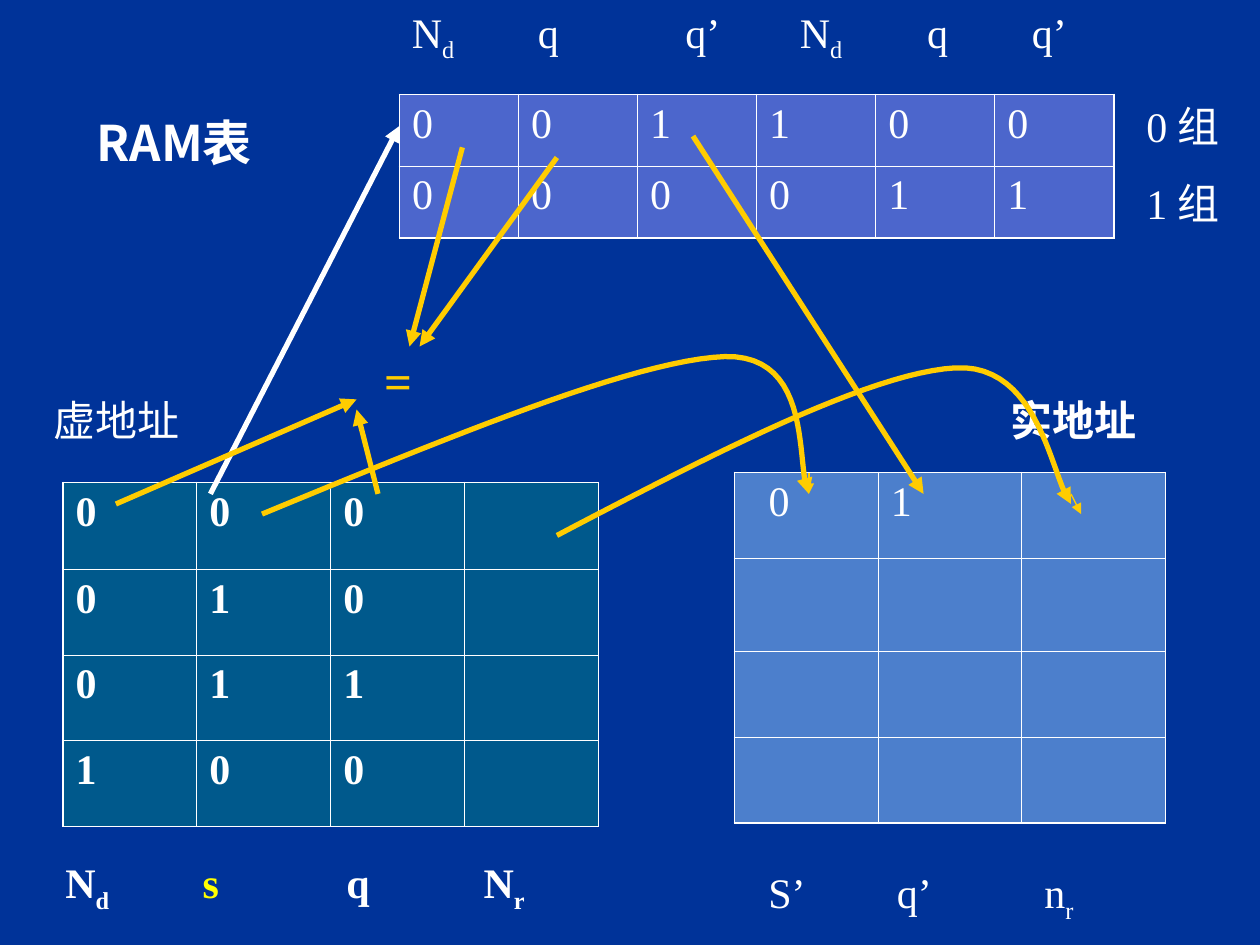
"""Build a slide that maps virtual addresses to real ones through a RAM table."""
from dataclasses import dataclass

from lxml import etree
from pptx import Presentation
from pptx.dml.color import RGBColor
from pptx.enum.shapes import MSO_CONNECTOR
from pptx.oxml.ns import qn
from pptx.util import Inches, Pt

STRAIGHT = MSO_CONNECTOR.STRAIGHT


@dataclass(frozen=True)
class Theme:
    back: str = "003399"
    white: str = "FFFFFF"
    gold: str = "FFCC00"
    yellow: str = "FFFF00"
    violet: str = "9999FF"
    teal: str = "008080"
    sky: str = "99CCFF"
    serif: str = "Times New Roman"
    sans: str = "Noto Sans CJK SC"
    body: int = 24
    large: int = 28
    thin: float = 0.45
    edge: float = 1.08
    fine: float = 0.75
    bold: int = 3


theme = Theme()


def write(frame, text, size=theme.body, font=theme.serif, color=theme.white,
          bold=False, before=15, tabs=()):
    """Write lines of runs split by |, where _ lowers a run and * turns it yellow."""
    for row, line in enumerate(text.split("\n")):
        para = frame.add_paragraph() if row else frame.paragraphs[0]
        para.space_before = Pt(before)
        if tabs:
            stops = etree.SubElement(para._p.get_or_add_pPr(), qn("a:tabLst"))
            for stop in tabs:
                etree.SubElement(stops, qn("a:tab"), pos=str(Inches(stop)), algn="l")
        for part in line.split("|"):
            run = para.add_run()
            run.text = part.lstrip("_*")
            run.font.size, run.font.name, run.font.bold = Pt(size), font, bold
            tint = theme.yellow if part.startswith("*") else color
            run.font.color.rgb = RGBColor.from_string(tint)
            if part.startswith("_"):
                run.font._element.set("baseline", "-25000")


def draw(shape, color, width):
    """Give a line its colour, width and arrowhead, and no shadow."""
    shape.line.color.rgb = RGBColor.from_string(color)
    shape.line.width = Pt(width)
    etree.SubElement(shape.line._get_or_add_ln(), qn("a:tailEnd"), type="triangle")
    etree.SubElement(shape._element.spPr, qn("a:effectLst"))


deck = Presentation()
deck.slide_width, deck.slide_height = Inches(10), Inches(7.5)
slide = deck.slides.add_slide(deck.slide_layouts[6])
slide.background.fill.solid()
slide.background.fill.fore_color.rgb = RGBColor.from_string(theme.back)
shapes = slide.shapes

grids = [
    ((3.17, 0.75, 5.67), [0.57] * 2, ["001100", "000011"], theme.violet, False),
    ((0.5, 3.83, 4.25), [0.69, 0.68, 0.68, 0.68],
     ["000 ", "010 ", "011 ", "100 "], theme.teal, True),
    ((5.83, 3.75, 3.42), [0.68, 0.74, 0.68, 0.68],
     ["01 ", "   ", "   ", "   "], theme.sky, False),
]
for (left, top, width), heights, rows, tint, bold in grids:
    count = len(rows[0])
    table = shapes.add_table(len(rows), count, Inches(left), Inches(top),
                             Inches(width), Inches(sum(heights))).table
    table.first_row = table.horz_banding = False
    for col in table.columns:
        col.width = Inches(width / count)
    for r, (height, row) in enumerate(zip(heights, rows)):
        table.rows[r].height = Inches(height)
        for c, digit in enumerate(row):
            cell = table.cell(r, c)
            props = cell._tc.get_or_add_tcPr()
            sides = {"L": c == 0, "R": c == count - 1,
                     "T": r == 0, "B": r == len(rows) - 1}
            for side, outer in sides.items():
                weight = Pt(theme.edge if outer else theme.thin)
                rule = etree.SubElement(props, qn("a:ln" + side), w=str(weight))
                paint = etree.SubElement(rule, qn("a:solidFill"))
                etree.SubElement(paint, qn("a:srgbClr"), val=theme.white)
            cell.fill.solid()
            cell.fill.fore_color.rgb = RGBColor.from_string(tint)
            shade = props.find(qn("a:solidFill")).find(qn("a:srgbClr"))
            etree.SubElement(shade, qn("a:alpha"), val="50000")
            if digit.strip():
                write(cell.text_frame, digit, bold=bold, before=6)
table.cell(0, 0).margin_left = Inches(0.27)

labels = [
    ((3.17, 0, 5.92, 0.56), "N|_d|\tq\tq’\tN|_d|\tq\tq’",
     dict(tabs=(1, 2.17, 3.08, 4.09, 4.92))),
    ((9, 0.75, 1, 1.11), "0 组\n1 组", {}),
    ((0.67, 0.84, 1.57, 0.57), "RAM表",
     dict(size=theme.large, font=theme.sans, bold=True, before=17.5)),
    ((0.33, 3.08, 1.92, 0.5), "虚地址", {}),
    ((0.42, 6.75, 4, 0.56), "N|_d|\t|*s|\tq\tN|_r",
     dict(bold=True, tabs=(1.09, 2.23, 3.32))),
    ((7.92, 3.08, 1.5, 0.5), "实地址", dict(bold=True)),
    ((2.95, 2.73, 0.83, 0.57), "=",
     dict(size=theme.large, color=theme.gold, bold=True, before=17.5)),
    ((6, 6.83, 2.75, 0.56), "S’\tq’\tn|_r", dict(tabs=(1.02, 2.19))),
]
for box, text, look in labels:
    frame = shapes.add_textbox(*map(Inches, box)).text_frame
    frame.word_wrap = True
    write(frame, text, **look)

arrows = [
    ((1.67, 3.92, 3.17, 1), theme.white, theme.bold),
    ((0.92, 4, 2.83, 3.17), theme.gold, theme.bold),
    ((3, 3.92, 2.83, 3.25), theme.gold, theme.bold),
    ((3.67, 1.17, 3.25, 2.75), theme.gold, theme.bold),
    ((4.42, 1.25, 3.33, 2.75), theme.gold, theme.bold),
    ((5.5, 1.08, 7.33, 3.92), theme.gold, theme.bold),
    ((6.42, 3.75, 6.42, 3.92), theme.gold, theme.fine),
    ((8.5, 3.92, 8.58, 4.08), theme.gold, theme.fine),
]
for ends, tint, width in arrows:
    draw(shapes.add_connector(STRAIGHT, *map(Inches, ends)), tint, width)

curves = [
    [(2.08, 4.08), (3.56, 3.47), (5.03, 2.86), (5.75, 2.83),
     (6.47, 2.81), (6.31, 3.72), (6.42, 3.92)],
    [(4.42, 4.25), (5.66, 3.6), (6.9, 2.96), (7.58, 2.92),
     (8.26, 2.88), (8.35, 3.82), (8.5, 4)],
]
steps = 24
for knots in curves:
    points = []
    for first in (0, 3):
        for step in range(1, steps + 1):
            t = step / steps
            mix = ((1 - t) ** 3, 3 * t * (1 - t) ** 2, 3 * t * t * (1 - t), t ** 3)
            points.append([Inches(sum(m * k[axis] for m, k in zip(mix, knots[first:])))
                           for axis in (0, 1)])
    pen = shapes.build_freeform(*map(Inches, knots[0]))
    pen.add_line_segments(points, close=False)
    curve = pen.convert_to_shape()
    curve.fill.background()
    draw(curve, theme.gold, theme.bold)

deck.save("out.pptx")
